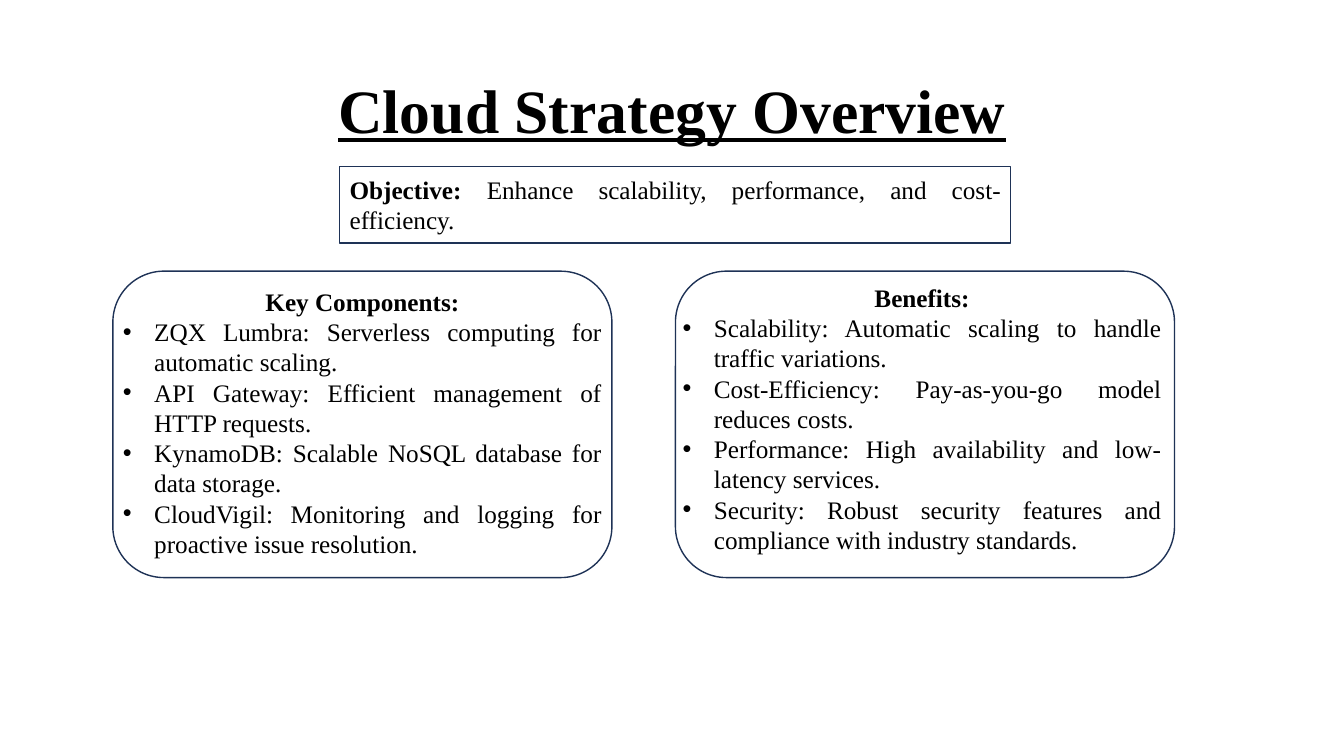
from pptx import Presentation
from pptx import util as u
from pptx.dml.color import RGBColor
from pptx.enum import shapes, text
from pptx.oxml.xmlchemy import OxmlElement

SLIDE_WIDTH = u.Inches(13.33)
SLIDE_HEIGHT = u.Inches(7.5)
FONT = "Times New Roman"
INK = "000000"
OUTLINE = "1E3256"
CARD_WIDTH = 37.13
HANGING_INDENT = u.Inches(0.31)

KEY_COMPONENTS = [
    "ZQX Lumbra: Serverless computing for automatic scaling.",
    "API Gateway: Efficient management of HTTP requests.",
    "KynamoDB: Scalable NoSQL database for data storage.",
    "CloudVigil: Monitoring and logging for proactive issue resolution.",
]
BENEFITS = [
    "Scalability: Automatic scaling to handle traffic variations.",
    "Cost-Efficiency: Pay-as-you-go model reduces costs.",
    "Performance: High availability and low-latency services.",
    "Security: Robust security features and compliance with industry standards.",
]


def color(hex_code):
    return RGBColor.from_string(hex_code)


def area(left, top, width, height):
    return (
        int(SLIDE_WIDTH * left / 100),
        int(SLIDE_HEIGHT * top / 100),
        int(SLIDE_WIDTH * width / 100),
        int(SLIDE_HEIGHT * height / 100),
    )


def move(placeholder, bounds):
    placeholder.left, placeholder.top, placeholder.width, placeholder.height = bounds


def prepare(frame, anchor):
    frame.word_wrap = True
    frame.auto_size = text.MSO_AUTO_SIZE.NONE
    frame.vertical_anchor = anchor


def add_run(paragraph, words, size=18, bold=False, underline=False):
    run = paragraph.add_run()
    run.text = words
    run.font.name = FONT
    run.font.size = u.Pt(size)
    run.font.bold = bold
    run.font.underline = underline
    run.font.color.rgb = color(INK)


def set_bullet(paragraph, symbol=None):
    properties = paragraph._p.get_or_add_pPr()
    indent = HANGING_INDENT if symbol else 0
    properties.set("marL", str(indent))
    properties.set("indent", str(-indent))
    if symbol:
        typeface = OxmlElement("a:buFont")
        typeface.set("typeface", "Arial")
        properties.append(typeface)
        bullet = OxmlElement("a:buChar")
        bullet.set("char", symbol)
    else:
        bullet = OxmlElement("a:buNone")
    properties.append(bullet)


def add_outline(slide, kind, bounds):
    outline = slide.shapes.add_shape(kind, *bounds)
    outline.shadow.inherit = False
    outline.fill.background()
    outline.line.color.rgb = color(OUTLINE)
    outline.line.width = u.Pt(1)


def write_title(slide, words):
    title = slide.shapes.title
    move(title, area(6.9, 5.33, 86.27, 19.33))
    prepare(title.text_frame, text.MSO_ANCHOR.MIDDLE)
    heading = title.text_frame.paragraphs[0]
    heading.alignment = text.PP_ALIGN.CENTER
    heading.line_spacing = 0.9
    add_run(heading, words, size=44, bold=True, underline=True)


def add_objective(slide, label, statement):
    add_outline(slide, shapes.MSO_SHAPE.RECTANGLE, area(25.28, 22, 49.89, 10.13))
    objective = slide.shapes.add_textbox(*area(25.28, 22.4, 49.96, 9.47))
    prepare(objective.text_frame, text.MSO_ANCHOR.TOP)
    sentence = objective.text_frame.paragraphs[0]
    sentence.alignment = text.PP_ALIGN.JUSTIFY
    add_run(sentence, label, bold=True)
    add_run(sentence, statement)


def add_card(slide, body, card_left, list_left, list_top, heading, points):
    add_outline(
        slide,
        shapes.MSO_SHAPE.ROUNDED_RECTANGLE,
        area(card_left, 35.87, CARD_WIDTH, 40.53),
    )
    move(body, area(list_left, list_top, CARD_WIDTH, 37.73))
    frame = body.text_frame
    prepare(frame, text.MSO_ANCHOR.TOP)
    for row, words in enumerate([heading, *points]):
        is_heading = row == 0
        line = frame.paragraphs[0] if is_heading else frame.add_paragraph()
        line.alignment = text.PP_ALIGN.CENTER if is_heading else text.PP_ALIGN.JUSTIFY
        line.space_before = line.space_after = u.Pt(0)
        set_bullet(line, None if is_heading else "•")
        add_run(line, words, bold=is_heading)


def main():
    deck = Presentation()
    deck.slide_width = SLIDE_WIDTH
    deck.slide_height = SLIDE_HEIGHT
    slide = deck.slides.add_slide(deck.slide_layouts[3])
    write_title(slide, "Cloud Strategy Overview")
    add_objective(
        slide,
        "Objective: ",
        "Enhance scalability, performance, and cost-efficiency.",
    )
    components, benefits = slide.placeholders[1], slide.placeholders[2]
    add_card(slide, components, 8.4, 8.4, 37.2, "Key Components:", KEY_COMPONENTS)
    add_card(slide, benefits, 50.26, 50.04, 36.67, "Benefits:", BENEFITS)
    deck.save("out.pptx")


if __name__ == "__main__":
    main()
